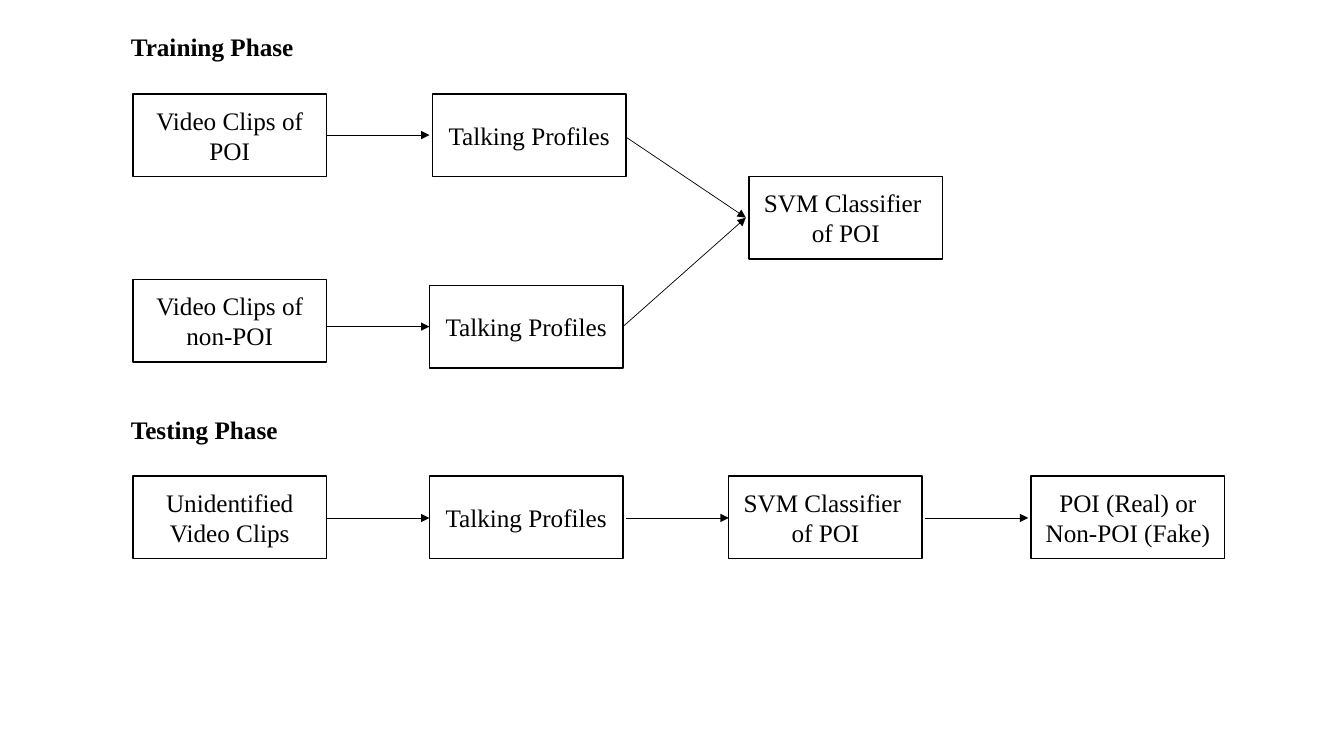
from typing import NamedTuple

from lxml import etree
from pptx import Presentation
from pptx.dml.color import RGBColor
from pptx.enum.shapes import MSO_CONNECTOR, MSO_SHAPE
from pptx.enum.text import MSO_ANCHOR, MSO_AUTO_SIZE, PP_ALIGN
from pptx.oxml.ns import qn
from pptx.util import Pt

RECT = MSO_SHAPE.RECTANGLE
STRAIGHT = MSO_CONNECTOR.STRAIGHT
MIDDLE = MSO_ANCHOR.MIDDLE
GROW = MSO_AUTO_SIZE.SHAPE_TO_FIT_TEXT
LEFT, CENTER = PP_ALIGN.LEFT, PP_ALIGN.CENTER

FONT = "Times New Roman"
BLACK, WHITE = "000000", "FFFFFF"
WIDE, HIGH = 138.24, 59.04

# Left edges of the steps, and the heights at which arrows run
CLIPS, TALK, MODEL, RESULT = 95, 306.75, 520.5, 736.5
POI, OTHER, TEST = 96.5, 233.3, 370
JOIN = (532.8, 155.5)
REACH = 73.5


class Title(NamedTuple):
    """Heading of a phase."""
    text: str
    top: float
    width: float


class Step(NamedTuple):
    """Box of the flow, by its left and top edges."""
    text: str
    left: float
    top: float


class Arrow(NamedTuple):
    """Arrow between two points."""
    start: tuple[float, float]
    end: tuple[float, float]


def color(code: str) -> RGBColor:
    """Turn a hex string into a colour."""
    return RGBColor.from_string(code)


def write(frame, text: str, *, bold: bool = False, align=LEFT) -> None:
    """Fill a text frame, one paragraph per line of text."""
    frame.text = text
    for para in frame.paragraphs:
        para.alignment = align
        font = para.runs[0].font
        font.name, font.size, font.bold = FONT, Pt(18), bold
        font.color.rgb = color(BLACK)


def draw_title(slide, title: Title) -> None:
    """Draw a phase heading."""
    box = slide.shapes.add_textbox(
        Pt(86.4), Pt(title.top), Pt(title.width), Pt(29))
    box.text_frame.word_wrap = False
    box.text_frame.auto_size = GROW
    write(box.text_frame, title.text, bold=True)


def draw_step(slide, step: Step) -> None:
    """Draw a framed step with centred text."""
    box = slide.shapes.add_shape(
        RECT, Pt(step.left), Pt(step.top), Pt(WIDE), Pt(HIGH))
    box.shadow.inherit = False
    box.fill.solid()
    box.fill.fore_color.rgb = color(WHITE)
    box.line.color.rgb = color(BLACK)
    box.line.width = Pt(1)
    box.text_frame.word_wrap = True
    box.text_frame.vertical_anchor = MIDDLE
    write(box.text_frame, step.text, align=CENTER)


def draw_arrow(slide, arrow: Arrow) -> None:
    """Draw a thin line with a triangle at its end."""
    link = slide.shapes.add_connector(
        STRAIGHT, *map(Pt, arrow.start + arrow.end))
    link.line.color.rgb = color(BLACK)
    link.line.width = Pt(0.5)
    etree.SubElement(link.line._get_or_add_ln(), qn("a:tailEnd"),
                     type="triangle")
    etree.SubElement(link._element.spPr, qn("a:effectLst"))


def across(left: float, mid: float) -> Arrow:
    """Make a level arrow of the common length."""
    return Arrow((left, mid), (left + REACH, mid))


TITLES = [
    Title("Training Phase", 18.7, 131.8),
    Title("Testing Phase", 292.3, 120.2),
]
TEST_TOP = TEST - HIGH / 2 - 0.6
STEPS = [
    Step("Video Clips of POI", CLIPS, 67),
    Step("Video Clips of non-POI", CLIPS, 199.5),
    Step("Talking Profiles", TALK + 2.1, 67),
    Step("Talking Profiles", TALK, 203.75),
    Step("SVM Classifier \nof POI", 535, 126),
    Step("Unidentified Video Clips", CLIPS, TEST_TOP),
    Step("Talking Profiles", TALK, TEST_TOP),
    Step("SVM Classifier \nof POI", MODEL, TEST_TOP),
    Step("POI (Real) or Non-POI (Fake)", RESULT, TEST_TOP),
]
ARROWS = [
    *(across(CLIPS + WIDE, mid) for mid in (POI, OTHER, TEST)),
    across(447.1, TEST),
    across(661, TEST),
    Arrow((447.1, 97.9), JOIN),
    Arrow((TALK + WIDE, OTHER), JOIN),
]


def main() -> None:
    """Build the slide and save it."""
    deck = Presentation()
    deck.slide_width, deck.slide_height = Pt(960), Pt(540)
    slide = deck.slides.add_slide(deck.slide_layouts[6])
    for title in TITLES:
        draw_title(slide, title)
    for step in STEPS:
        draw_step(slide, step)
    for arrow in ARROWS:
        draw_arrow(slide, arrow)
    deck.save("out.pptx")


main()
